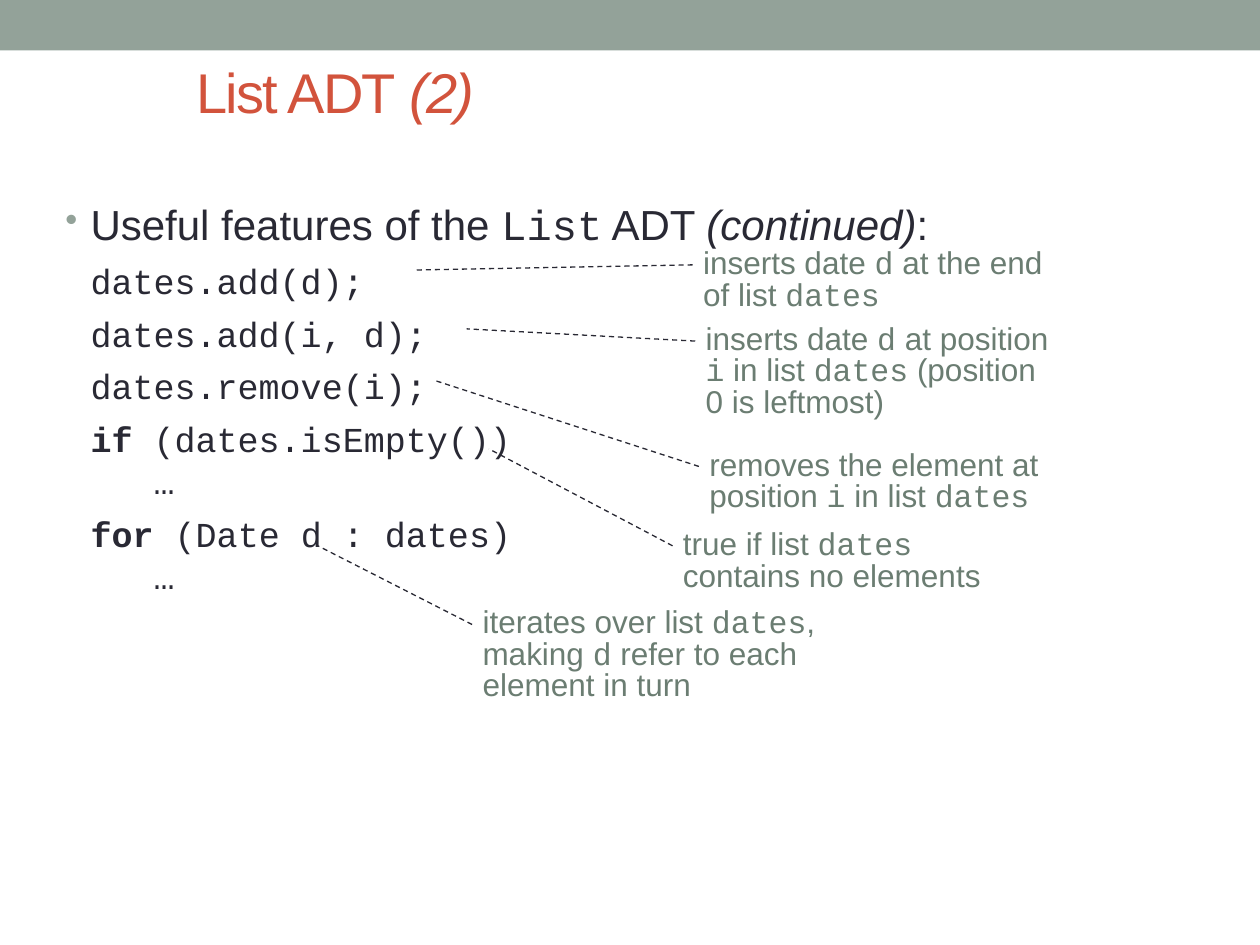
from dataclasses import dataclass
from lxml import etree
from pptx import Presentation
from pptx.dml.color import RGBColor
from pptx.enum.dml import MSO_LINE
from pptx.enum.shapes import MSO_SHAPE
from pptx.enum.text import MSO_ANCHOR, PP_ALIGN
from pptx.oxml.ns import qn
from pptx.util import Inches, Pt

RECT = MSO_SHAPE.RECTANGLE
CALL = MSO_SHAPE.LINE_CALLOUT_1_NO_BORDER
DASH = MSO_LINE.DASH
TOP, MID = MSO_ANCHOR.TOP, MSO_ANCHOR.MIDDLE
LEFT = PP_ALIGN.LEFT


@dataclass(frozen=True)
class Theme:
    """Colours, fonts and type sizes."""
    bar: str = "93A299"
    head: str = "D2533C"
    ink: str = "292934"
    note: str = "6B7D72"
    sans: str = "Arial"
    mono: str = "Courier New"
    big: int = 32
    lead: int = 24
    code: int = 20
    small: int = 18


def put(par, text, font, size, color, bold=False, ital=False, track=None):
    """Add text to a paragraph, breaking it at each newline."""
    for num, line in enumerate(text.split("\n")):
        if num:
            par.add_line_break()
        run = par.add_run()
        run.text = line
        face = run.font
        face.name, face.size = font, Pt(size)
        face.bold, face.italic = bold, ital
        face.color.rgb = RGBColor.from_string(color)
        if track is not None:
            run._r.get_or_add_rPr().set("spc", str(track))


class Deck:
    """Holds the theme and the current slide."""

    def __init__(self, theme):
        """Start a deck with one title-only slide."""
        self.theme = theme
        self.show = Presentation()
        self.show.slide_width, self.show.slide_height = Inches(10), Inches(7.5)
        self.slide = self.show.slides.add_slide(self.show.slide_layouts[5])

    def bar(self, *box):
        """Draw the plain band."""
        band = self.slide.shapes.add_shape(RECT, *map(Inches, box))
        band.shadow.inherit = False
        band.fill.solid()
        band.fill.fore_color.rgb = RGBColor.from_string(self.theme.bar)
        band.line.fill.background()

    def title(self, text, tail, *box):
        """Place the title with an italic tail."""
        look, head = self.theme, self.slide.shapes.title
        head.left, head.top, head.width, head.height = map(Inches, box)
        head.text_frame.vertical_anchor = MID
        par = head.text_frame.paragraphs[0]
        par.alignment = LEFT
        put(par, text, look.sans, look.big, look.head, track=-100)
        put(par, tail, look.sans, look.big, look.head, ital=True, track=-100)

    def body(self, lead, code, *box):
        """Place the bulleted lead and the code lines under it."""
        look = self.theme
        frame = self.slide.shapes.add_textbox(*map(Inches, box)).text_frame
        frame.word_wrap = True
        par = frame.paragraphs[0]
        self.hang(par, "\u2022")
        for text, font, ital in lead:
            put(par, text, font, look.lead, look.ink, ital=ital)
        for key, rest in code:
            par = frame.add_paragraph()
            self.hang(par)
            put(par, "\t" + key, look.mono, look.code, look.ink, bold=True)
            put(par, rest, look.mono, look.code, look.ink)

    def hang(self, par, mark=None):
        """Give a paragraph its hanging indent and its bullet, if any."""
        par.space_before = Pt(6)
        prop = par._p.get_or_add_pPr()
        prop.set("marL", str(Inches(0.2)))
        prop.set("indent", str(-Inches(0.2)))
        if not mark:
            etree.SubElement(prop, qn("a:buNone"))
            return
        tint = etree.SubElement(prop, qn("a:buClr"))
        etree.SubElement(tint, qn("a:srgbClr"), val=self.theme.bar)
        etree.SubElement(prop, qn("a:buSzPct"), val="85000")
        etree.SubElement(prop, qn("a:buChar"), char=mark)

    def note(self, text, box, ends):
        """Draw a callout; text between backticks is code."""
        look = self.theme
        call = self.slide.shapes.add_shape(CALL, *map(Inches, box))
        call.shadow.inherit = False
        call.fill.background()
        call.line.color.rgb = RGBColor.from_string(look.ink)
        call.line.width, call.line.dash_style = Pt(0.75), DASH
        for num, end in enumerate(ends):
            call.adjustments[num] = end
        frame = call.text_frame
        frame.word_wrap, frame.vertical_anchor = True, TOP
        frame.margin_left = frame.margin_right = 0
        frame.margin_top = frame.margin_bottom = 0
        par = frame.paragraphs[0]
        par.alignment, par.line_spacing = LEFT, Pt(18)
        for num, part in enumerate(text.split("`")):
            font = look.mono if num % 2 else look.sans
            put(par, part, font, look.small, look.note)


def main():
    """Build the slide and save it."""
    look = Theme()
    deck = Deck(look)
    deck.bar(0, 0, 10, 0.4)
    deck.title("List ADT ", "(2)", 1.46, 0.33, 6.72, 0.79)
    lead = [
        ("Useful features of the ", look.sans, False),
        ("List", look.mono, False),
        (" ADT ", look.sans, False),
        ("(continued)", look.sans, True),
        (":", look.sans, False),
    ]
    code = [
        ("", "dates.add(d);"),
        ("", "dates.add(i, d);"),
        ("", "dates.remove(i);"),
        ("if", " (dates.isEmpty())\n\t\u2026"),
        ("for ", "(Date d : dates)\n\t\u2026"),
    ]
    deck.body(lead, code, 0.42, 1.53, 7.88, 5.08)
    notes = [
        ("inserts date `d` at the end of list `dates`",
         (5.58, 1.98, 2.75, 0.51), (0.24, -0.03, 0.32, -0.83)),
        ("removes the element at position `i` in list `dates`",
         (5.63, 3.58, 2.76, 0.51), (0.24, -0.03, -1.1, -0.79)),
        ("true if list `dates` contains no elements",
         (5.42, 4.21, 2.75, 0.51), (0.24, -0.03, -1.27, -0.56)),
        ("iterates over list `dates`, making `d` refer to each element in turn",
         (3.83, 4.83, 2.78, 0.79), (0.16, -0.03, -0.63, -0.47)),
        ("inserts date `d` at position `i` in list `dates` (position 0 is leftmost)",
         (5.6, 2.58, 2.75, 0.75), (0.17, -0.03, 0.04, -0.69)),
    ]
    for text, box, ends in notes:
        deck.note(text, box, ends)
    deck.show.save("out.pptx")


main()
